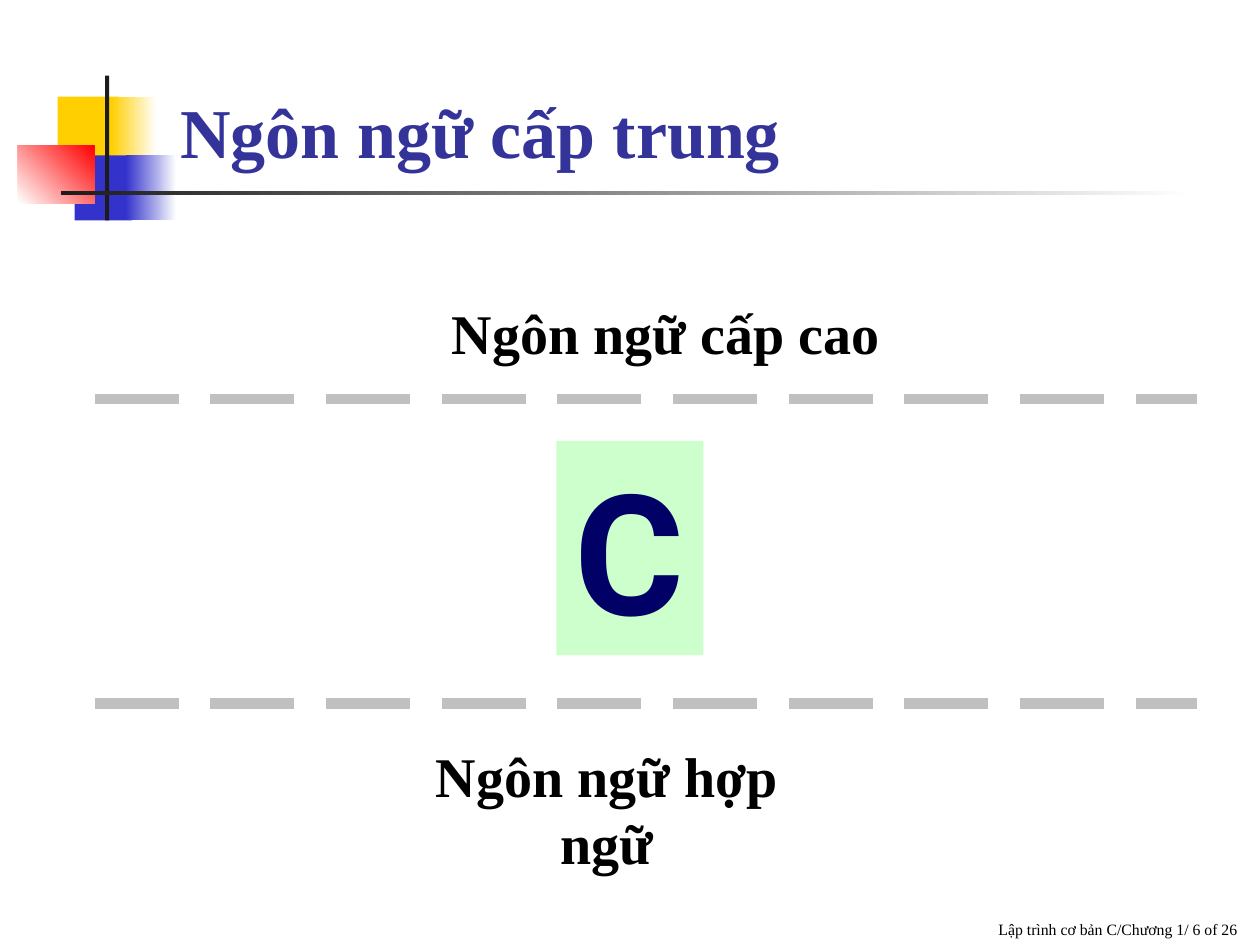
import pptx
import pptx.util
import pptx.dml.color
import pptx.enum.dml
import pptx.enum.shapes
import pptx.enum.text
import pptx.oxml.ns
from lxml import etree

COLS, ROWS = 120, 90
WIDTH, HEIGHT = pptx.util.Inches(10), pptx.util.Inches(7.5)
SERIF = "Times New Roman"
ALIGN = pptx.enum.text.PP_ALIGN
ANCHOR = pptx.enum.text.MSO_ANCHOR


def x_at(cols):
    return round(cols * WIDTH / COLS)


def y_at(rows):
    return round(rows * HEIGHT / ROWS)


def place(box):
    x, y, w, h = box
    return x_at(x), y_at(y), x_at(w), y_at(h)


def rgb(value):
    return pptx.dml.color.RGBColor.from_string(value)


def write(sp, text, size=32, font=SERIF, color="000000", bold=True,
          align=ALIGN.CENTER, anchor=ANCHOR.TOP):
    tf = sp.text_frame
    tf.word_wrap = True
    tf.vertical_anchor = anchor
    p = tf.paragraphs[0]
    p.alignment = align
    r = p.add_run()
    r.text = text
    r.font.size = pptx.util.Pt(size)
    r.font.name = font
    r.font.bold = bold
    r.font.color.rgb = rgb(color)


def add_text(s, box, text, **fmt):
    write(s.shapes.add_textbox(*place(box)), text, **fmt)


def add_rect(s, box, *colors, angle=0):
    sp = s.shapes.add_shape(pptx.enum.shapes.MSO_SHAPE.RECTANGLE, *place(box))
    sp.shadow.inherit = False
    sp.line.fill.background()
    if len(colors) == 1:
        sp.fill.solid()
        sp.fill.fore_color.rgb = rgb(colors[0])
    else:
        sp.fill.gradient()
        sp.fill.gradient_angle = angle
        for stop, color in zip(sp.fill.gradient_stops, colors):
            stop.color.rgb = rgb(color)
    return sp


def add_dashes(s, x, y, w):
    line = s.shapes.add_connector(pptx.enum.shapes.MSO_CONNECTOR.STRAIGHT,
                                  x_at(x), y_at(y), x_at(x + w), y_at(y))
    line.line.color.rgb = rgb("C0C0C0")
    line.line.width = pptx.util.Pt(6)
    line.line.dash_style = pptx.enum.dml.MSO_LINE.LONG_DASH
    etree.SubElement(line._element.spPr, pptx.oxml.ns.qn("a:effectLst"))


def add_emblem(s, x, y):
    parts = [
        ((3.8, 2, 5.8, 6.2), ["FFCF01"], 0),
        ((8.9, 2, 4.3, 6.2), ["FFCF01", "FFFFFF"], 0),
        ((5.4, 7.6, 5.5, 6.2), ["3333CC"], 0),
        ((10.3, 7.6, 4.8, 6.2), ["3333CC", "FFFFFF"], 0),
        ((0, 6.65, 7.3, 5.5), ["FFFFFF", "FF0000"], 45),
        ((8.3, 0, 0.4, 13.8), ["1C1C1C"], 0),
        ((4.1, 11, 108, 0.4), ["1C1C1C", "FFFFFF"], 0),
    ]
    for (dx, dy, w, h), colors, angle in parts:
        add_rect(s, (x + dx, y + dy, w, h), *colors, angle=angle)


def add_header(s, x, y, w, h):
    add_emblem(s, x, y)
    add_text(s, (x + 14.3, y - 0.2, w - 14.3, h), "Ngôn ngữ cấp trung", size=40,
             color="333399", align=ALIGN.LEFT, anchor=ANCHOR.BOTTOM)


def add_levels(s, x, y, w, h):
    add_text(s, (x + 30.9, y, 47, 7.6), "Ngôn ngữ cấp cao")
    add_text(s, (x + 31.3, y + h - 14, 35, 14), "Ngôn ngữ hợp ngữ")
    sp = add_rect(s, (x + 44, y + 14.2, 14, 20.4), "CCFFCC")
    write(sp, "C", size=96, font="Roboto", color="000066")
    for row in (10.2, 39.2):
        add_dashes(s, x, y + row, w)


def add_footer(s, x, y, w, h):
    add_text(s, (x, y, w, h), "Lập trình cơ bản C/Chương 1/ 6 of 26", size=9,
             bold=False, align=ALIGN.RIGHT, anchor=ANCHOR.BOTTOM)


def main():
    prs = pptx.Presentation()
    prs.slide_width, prs.slide_height = WIDTH, HEIGHT
    s = prs.slides.add_slide(prs.slide_layouts[6])
    add_header(s, 1.7, 7.2, 115.3, 10)
    add_levels(s, 9, 27.8, 105, 56.2)
    add_footer(s, 46, 84, 73, 6)
    prs.save("out.pptx")


if __name__ == "__main__":
    main()
